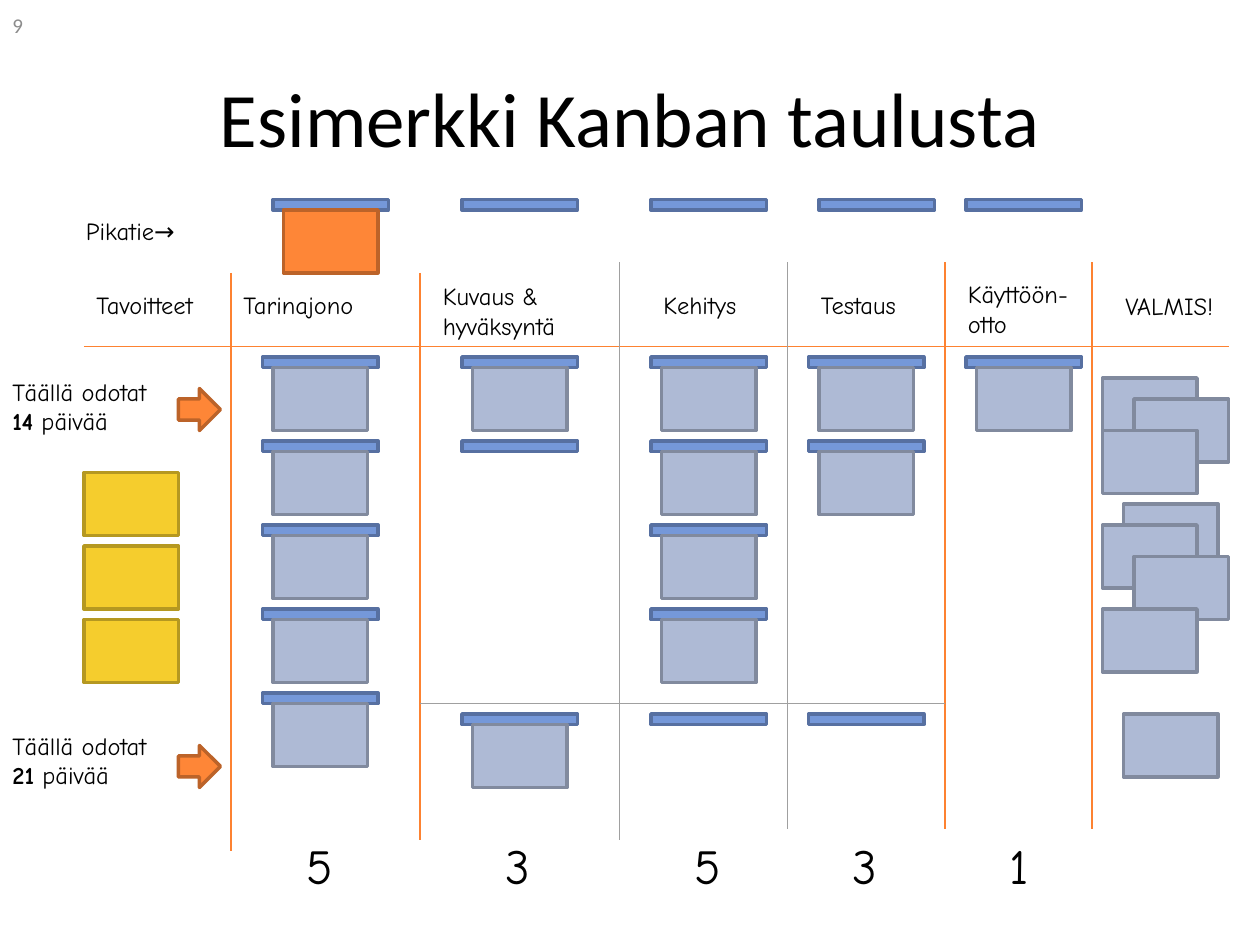
"""Build a Kanban board slide on a grid of 120 columns by 90 rows."""
import pptx
import pptx.dml.color
import pptx.enum.shapes
import pptx.enum.text
import pptx.oxml.ns
import pptx.util
from lxml import etree

RGBColor = pptx.dml.color.RGBColor
SHAPE = pptx.enum.shapes.MSO_SHAPE
ALIGN = pptx.enum.text.PP_ALIGN
ANCHOR = pptx.enum.text.MSO_ANCHOR

BLACK = RGBColor(0x00, 0x00, 0x00)
PAGE_GREY = RGBColor(0x8C, 0x8C, 0x8C)
LINE_GREY = RGBColor(0xA0, 0xA0, 0xA0)
LINE_ORANGE = RGBColor(0xFD, 0x82, 0x31)
BLUE = RGBColor(0x75, 0x98, 0xD9), RGBColor(0x57, 0x70, 0xA1)
PALE = RGBColor(0xAE, 0xBA, 0xD5), RGBColor(0x81, 0x8A, 0x9E)
ORANGE = RGBColor(0xFE, 0x86, 0x37), RGBColor(0xBC, 0x63, 0x29)
YELLOW = RGBColor(0xF5, 0xCD, 0x2D), RGBColor(0xB5, 0x98, 0x21)

FIRST_ROW, ROW_STEP, LOWER_ROW, EXPRESS_ROW = 34, 8, 68, 19
HEADINGS = [
    ("Pikatie→", 7, 20, 19), ("Tavoitteet", 8, 27, 19), ("Tarinajono", 22, 27, 19),
    ("Kuvaus & hyväksyntä", 41, 26.2, 19), ("Kehitys", 62, 27, 19),
    ("Testaus", 77, 27, 19), ("Käyttöön-\notto", 91, 26, 19), ("VALMIS!", 106, 27.1, 13),
]
# Slot column, express column, limit, filled slots, empty slots
STAGES = [
    (25, 26, "5", [34, 42, 50, 58, 66], []),
    (44, 44, "3", [34, 68], [42]),
    (62, 62, "5", [34, 42, 50, 58], [68]),
    (77, 78, "3", [34, 42], [68]),
    (92, 92, "1", [34], []),
]
DIVIDERS = [
    (22, 26, 81, LINE_ORANGE, 1.5), (40, 26, 80, LINE_ORANGE, 1.5),
    (59, 25, 80, LINE_GREY, 0.75), (75, 25, 79, LINE_GREY, 0.75),
    (90, 25, 79, LINE_ORANGE, 1.5), (104, 25, 79, LINE_ORANGE, 1.5),
]
DONE = [(105, 36), (108, 38), (105, 41), (107, 48), (105, 50), (108, 53), (105, 58), (107, 68)]
WAITS = [("14", 35.3, 37), ("21", 69, 71)]


def cell(n):
    """Return the length of n grid cells."""
    return pptx.util.Inches(n / 12)


def add_text(slide, text, x, y, w, h, size=14, font="Comic Neue", color=BLACK,
             align=ALIGN.LEFT, anchor=ANCHOR.TOP, bold=""):
    """Add a text box, with the part of the text given by bold set in bold."""
    tf = slide.shapes.add_textbox(cell(x), cell(y), cell(w), cell(h)).text_frame
    tf.word_wrap = True
    tf.vertical_anchor = anchor
    p = tf.paragraphs[0]
    p.alignment = align
    before, mark, after = text.partition(bold) if bold else (text, "", "")
    for part, is_bold in ((before, False), (mark, True), (after, False)):
        for i, line in enumerate(part.split("\n")):
            if i:
                p.add_line_break()
            if line:
                r = p.add_run()
                r.text = line
                r.font.size = pptx.util.Pt(size)
                r.font.name = font
                r.font.bold = is_bold
                r.font.color.rgb = color


def add_box(slide, x, y, w, h, colors, kind=SHAPE.RECTANGLE):
    """Add a preset shape with a fill and an outline."""
    sp = slide.shapes.add_shape(kind, cell(x), cell(y), cell(w), cell(h))
    sp.shadow.inherit = False
    sp.fill.solid()
    sp.fill.fore_color.rgb, sp.line.color.rgb = colors
    sp.line.width = pptx.util.Pt(2)


def add_card(slide, x, y, colors=PALE):
    """Add a task card."""
    add_box(slide, x, y, 9, 6, colors)


def add_slot(slide, x, y, card=None):
    """Add a slot bar and, if colours are given, the card hanging from it."""
    add_box(slide, x, y, 11, 1, BLUE)
    if card:
        add_card(slide, x + 1, y + 1, card)


def add_line(slide, x1, y1, x2, y2, color, width=0.75):
    """Add a straight line without a shadow."""
    line = slide.shapes.add_connector(
        pptx.enum.shapes.MSO_CONNECTOR.STRAIGHT, cell(x1), cell(y1), cell(x2), cell(y2))
    line.line.color.rgb = color
    line.line.width = pptx.util.Pt(width)
    etree.SubElement(line._element.spPr, pptx.oxml.ns.qn("a:effectLst"))


def add_frame(slide):
    """Add the headings and the lines of the board."""
    for text, x, y, w in HEADINGS:
        add_text(slide, text, x, y, w, 6.8 if len(text) > 10 else 4)
    add_line(slide, 8, 33, 117, 33, LINE_ORANGE)
    for x, top, bottom, color, width in DIVIDERS:
        add_line(slide, x, top, x, bottom, color, width)
    add_line(slide, 40, 67, 90, 67, LINE_GREY)


def add_stages(slide):
    """Add the slots, cards and limits of every stage."""
    for x, express, limit, filled, empty in STAGES:
        add_slot(slide, express, EXPRESS_ROW, ORANGE if x == 25 else None)
        for y in filled:
            add_slot(slide, x, y, PALE)
        for y in empty:
            add_slot(slide, x, y)
        add_text(slide, limit, x + 3, 79, 5, 6.8, size=28)


def main():
    """Build and save the slide."""
    prs = pptx.Presentation()
    prs.slide_width, prs.slide_height = cell(120), cell(90)
    slide = prs.slides.add_slide(prs.slide_layouts[6])
    add_text(slide, "Esimerkki Kanban taulusta", 6, 3.6, 108, 15, size=44,
             font="Calibri", align=ALIGN.CENTER, anchor=ANCHOR.MIDDLE)
    add_frame(slide)
    add_stages(slide)
    for x, y in DONE:
        add_card(slide, x, y)
    for days, y, arrow_y in WAITS:
        add_text(slide, f"Täällä odotat\n{days} päivää", 0, y, 19, 6.8, bold=days)
        add_box(slide, 17, arrow_y, 4, 4, ORANGE, SHAPE.RIGHT_ARROW)
    for row in range(3):
        add_card(slide, 8, 45 + 7 * row, YELLOW)
    add_text(slide, "9", 0, 0, 28, 4.8, size=12, font="Calibri",
             color=PAGE_GREY, anchor=ANCHOR.MIDDLE)
    prs.save("out.pptx")


if __name__ == "__main__":
    main()
